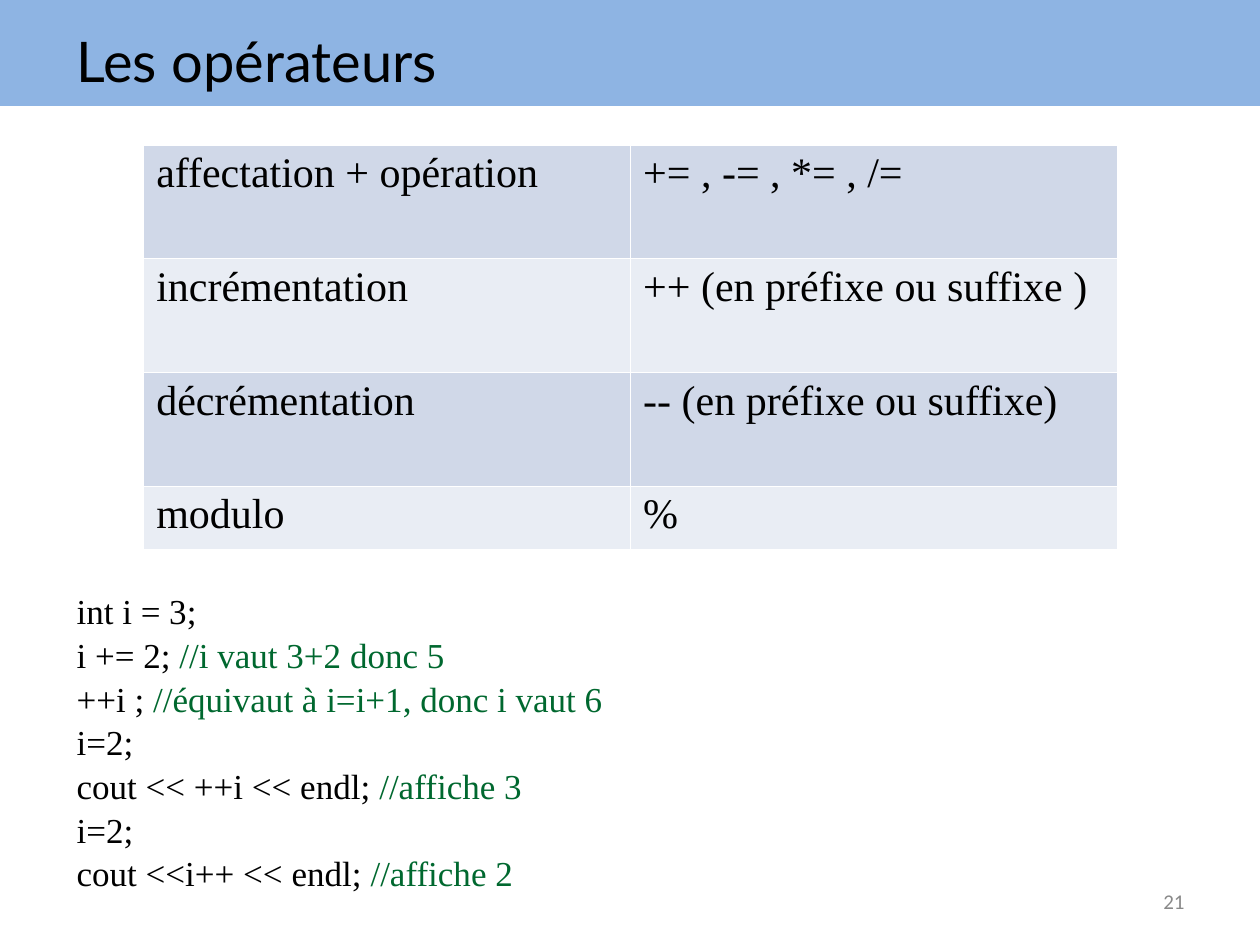
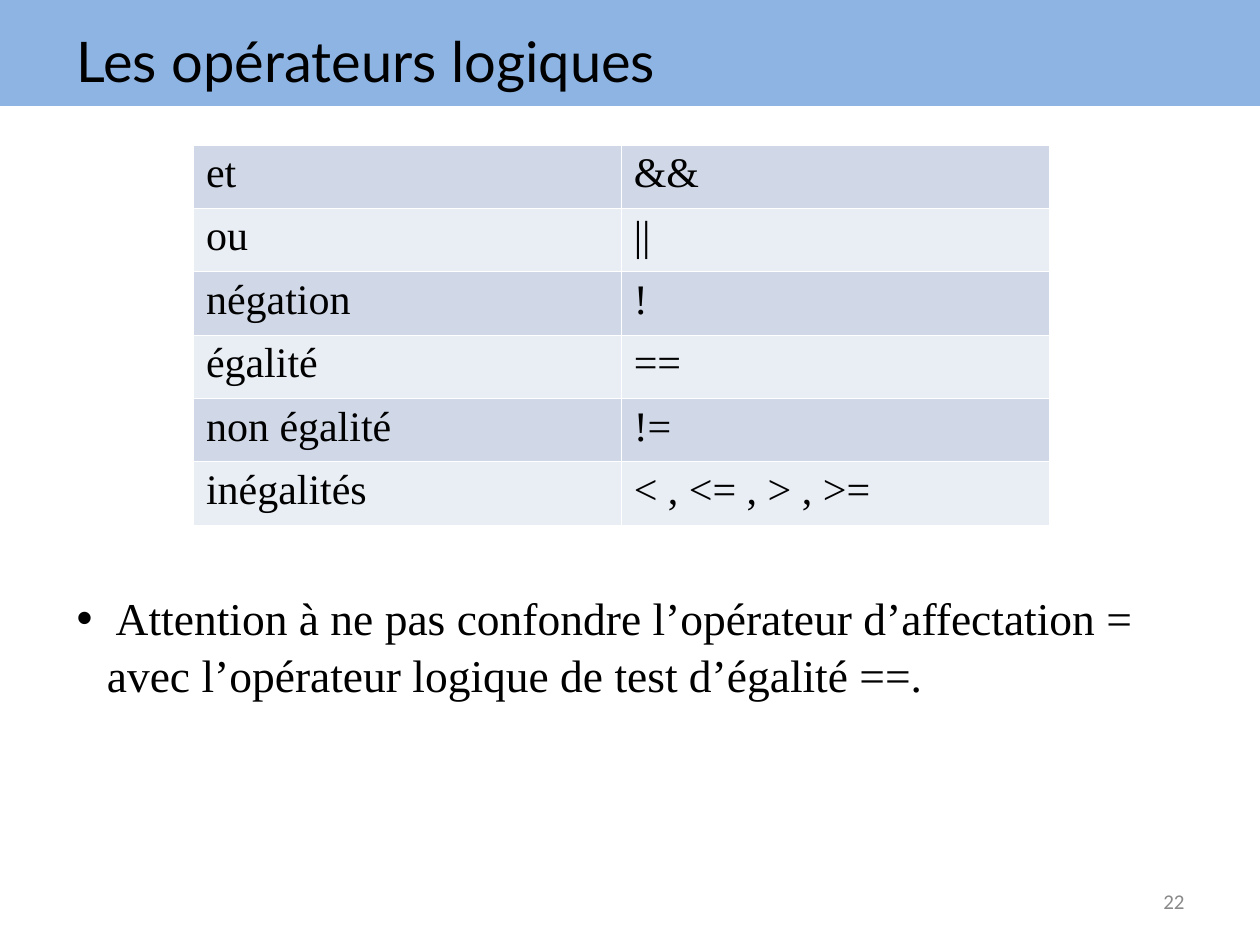
import pptx
import pptx.dml.color
import pptx.enum.shapes
import pptx.enum.text
import pptx.oxml
import pptx.oxml.ns
import pptx.util

COLS, ROWS = 100, 75
BAND, BLACK, GREY, GREEN = "8EB4E3", "000000", "898989", "00682F"
STRIPES = ("D0D8E8", "E9EDF4")
HEAD, BODY, FOOT = "Lato", "Times New Roman", "Calibri"
ALIGN = pptx.enum.text.PP_ALIGN
MIDDLE = pptx.enum.text.MSO_ANCHOR.MIDDLE
SPACING = 1.04

deck = pptx.Presentation()
deck.slide_width = pptx.util.Inches(10)
deck.slide_height = pptx.util.Inches(7.5)


def paint(target, colour):
    """Give a fill or a font a solid colour."""
    if hasattr(target, "solid"):
        target.solid()
        target = target.fore_color
    else:
        target = target.color
    target.rgb = pptx.dml.color.RGBColor.from_string(colour)


def place(box):
    """Turn left, top, width, height in grid units into slide lengths."""
    wide, high = deck.slide_width / COLS, deck.slide_height / ROWS
    return [round(n * unit) for n, unit in zip(box, (wide, high) * 2)]


def style(para, name, size, colour=BLACK):
    para.font.name = name
    para.font.size = pptx.util.Pt(size)
    paint(para.font, colour)


def add_frame(slide, box):
    frame = slide.shapes.add_textbox(*place(box)).text_frame
    frame.word_wrap = True
    return frame


def add_line(slide, box, text, name, size, colour=BLACK, align=ALIGN.LEFT):
    """Add one line of text, centred in the height of its box."""
    frame = add_frame(slide, box)
    frame.vertical_anchor = MIDDLE
    para = frame.paragraphs[0]
    para.text = text
    para.alignment = align
    style(para, name, size, colour)


def add_page(title, number):
    slide = deck.slides.add_slide(deck.slide_layouts[6])
    band = slide.shapes.add_shape(
        pptx.enum.shapes.MSO_SHAPE.RECTANGLE, *place((0, 0, COLS, 8.4)))
    band.shadow.inherit = False
    band.line.fill.background()
    paint(band.fill, BAND)
    add_line(slide, (5.1, 1.3, 90, 6.9), title, HEAD, 32)
    add_line(slide, (71.7, 69.5, 23.3, 4), str(number), FOOT, 12, GREY,
             ALIGN.RIGHT)
    return slide


def add_borders(cell):
    props = cell._tc.get_or_add_tcPr()
    for spot, side in enumerate("LRTB"):
        props.insert(spot, pptx.oxml.parse_xml(
            f'<a:ln{side} {pptx.oxml.ns.nsdecls("a")} w="2900"><a:solidFill>'
            f'<a:srgbClr val="FFFFFF"/></a:solidFill></a:ln{side}>'))


def add_grid(slide, left, width, pairs, heights):
    """Add a striped table of operator names and signs."""
    box = place((left, 11.5, width, sum(heights)))
    table = slide.shapes.add_table(len(pairs), 2, *box).table
    table.first_row = table.horz_banding = False
    for index, (pair, height) in enumerate(zip(pairs, heights)):
        table.rows[index].height = place((0, 0, 0, height))[3]
        for cell, text in zip(table.rows[index].cells, pair):
            cell.text = text
            para = cell.text_frame.paragraphs[0]
            para.line_spacing = 0.98
            style(para, BODY, 24)
            paint(cell.fill, STRIPES[index % 2])
            add_borders(cell)


def add_code(slide, box, lines):
    """Add code lines with their comments in green."""
    frame = add_frame(slide, box)
    for index, line in enumerate(lines):
        para = frame.add_paragraph() if index else frame.paragraphs[0]
        para.line_spacing = SPACING
        code, mark, note = line.partition("//")
        para.add_run().text = code
        if mark:
            run = para.add_run()
            run.text = mark + note
            paint(run.font, GREEN)
        style(para, BODY, 20)


def add_bullet(slide, box, text):
    para = add_frame(slide, box).paragraphs[0]
    para.text = text
    para.line_spacing = SPACING
    props = para._p.get_or_add_pPr()
    indent = place((2.4, 0, 0, 0))[0]
    props.set("marL", str(indent))
    props.set("indent", str(-indent))
    for tag in ('buFont typeface="Arial"', 'buChar char="•"'):
        props.append(pptx.oxml.parse_xml(
            f'<a:{tag} {pptx.oxml.ns.nsdecls("a")}/>'))
    style(para, BODY, 26)


def main():
    tall, low = 9.03, 5.03
    slide = add_page("Les opérateurs", 21)
    add_grid(slide, 11.4, 77.3, [
        ("affectation + opération", "+= , -= , *= , /="),
        ("incrémentation", "++ (en préfixe ou suffixe )"),
        ("décrémentation", "-- (en préfixe ou suffixe)"),
        ("modulo", "%"),
    ], [tall] * 3 + [low])
    add_code(slide, (5.1, 46.2, 86.6, 24.4), [
        "int i = 3;",
        "i += 2; //i vaut 3+2 donc 5",
        "++i ; //équivaut à i=i+1, donc i vaut 6",
        "i=2;",
        "cout << ++i << endl; //affiche 3",
        "i=2;",
        "cout <<i++ << endl; //affiche 2",
    ])

    slide = add_page("Les opérateurs logiques", 22)
    add_grid(slide, 15.35, 67.9, [
        ("et", "&&"),
        ("ou", "||"),
        ("négation", "!"),
        ("égalité", "=="),
        ("non égalité", "!="),
        ("inégalités", "< , <= , > , >="),
    ], [low] * 6)
    add_bullet(slide, (5.1, 46.2, 88.2, 14),
               " Attention à ne pas confondre l’opérateur d’affectation = "
               "avec l’opérateur logique de test d’égalité ==.")
    deck.save("out.pptx")


if __name__ == "__main__":
    main()
